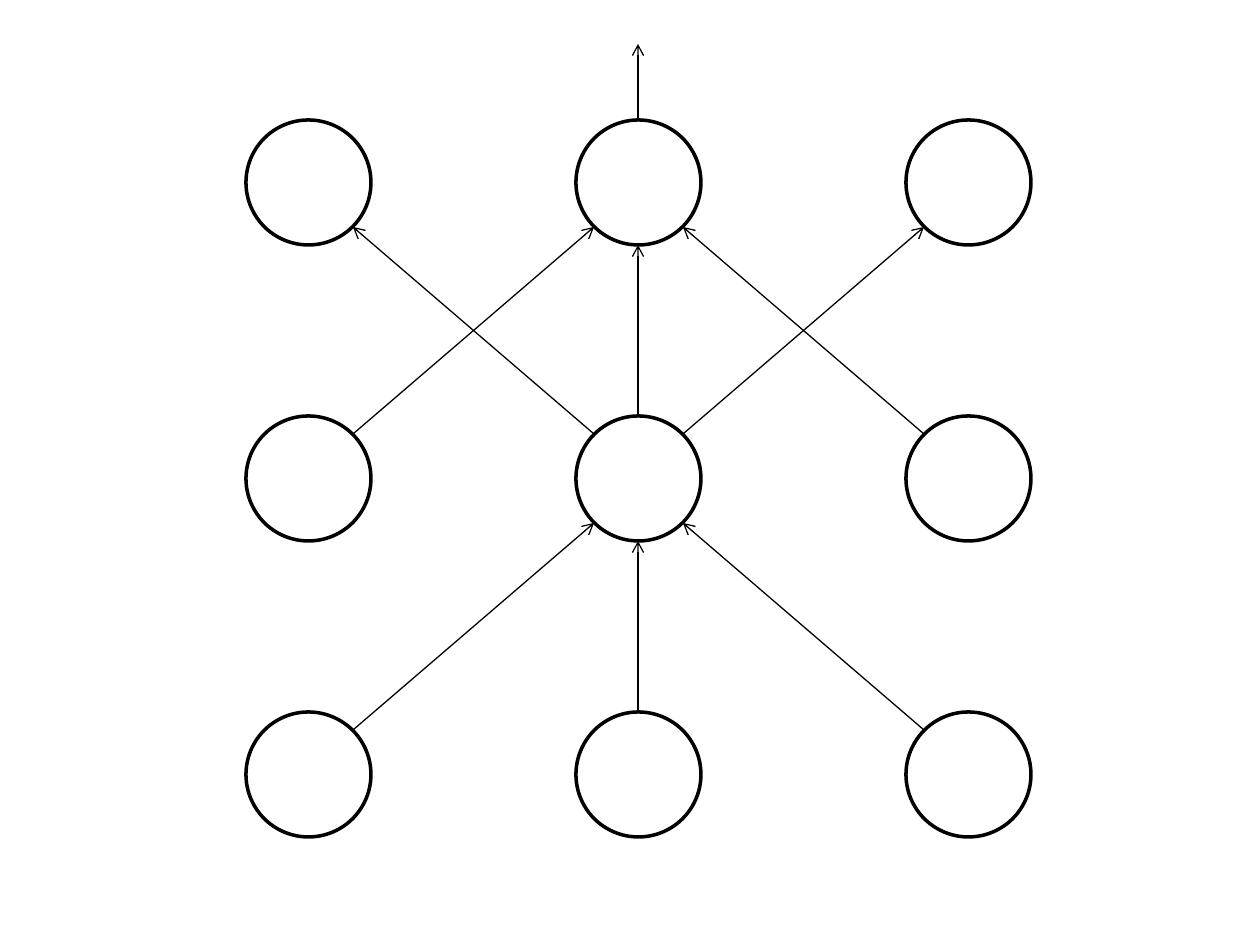
import math
from lxml import etree
from pptx import Presentation
from pptx import util as u
from pptx.dml.color import RGBColor
from pptx.enum import shapes
from pptx.oxml import ns

BLACK = RGBColor(0, 0, 0)
SCALE = 914400 / 126
LEFT, TOP = 246, 120
STEP_X, STEP_Y = 330, 296
SIZE = 125
RISE = 76
LINKS = [
    ((0, 2), (1, 1)), ((1, 1), (2, 0)), ((1, 1), (1, 0)),
    ((1, 1), (0, 0)), ((2, 2), (1, 1)), ((1, 2), (1, 1)),
    ((0, 1), (1, 0)), ((2, 1), (1, 0)),
]


def px(num):
    return u.Emu(round(num * SCALE))


def style(line, width):
    line.color.rgb = BLACK
    line.width = u.Pt(width)


def add_node(slide, col, row):
    node = slide.shapes.add_shape(
        shapes.MSO_SHAPE.OVAL, px(LEFT + col * STEP_X),
        px(TOP + row * STEP_Y), px(SIZE), px(SIZE))
    node.shadow.inherit = False
    node.fill.background()
    style(node.line, 2)


def rim(cell, side, up):
    col, row = cell
    half = SIZE / 2
    reach = half / math.hypot(side, up)
    return (round(LEFT + col * STEP_X + half + side * reach),
            round(TOP + row * STEP_Y + half - up * reach))


def add_arrow(slide, start, end):
    link = slide.shapes.add_connector(
        shapes.MSO_CONNECTOR.STRAIGHT, *map(px, start + end))
    style(link.line, 0.75)
    props = link._element.spPr
    tail = etree.SubElement(props.find(ns.qn("a:ln")), ns.qn("a:tailEnd"))
    tail.set("type", "arrow")
    etree.SubElement(props, ns.qn("a:effectLst"))


def main():
    deck = Presentation()
    deck.slide_width, deck.slide_height = px(1260), px(945)
    slide = deck.slides.add_slide(deck.slide_layouts[6])
    for row in (2, 1, 0):
        for col in range(3):
            add_node(slide, col, row)
    for start, end in LINKS:
        side = end[0] - start[0]
        add_arrow(slide, rim(start, side, 1), rim(end, -side, -1))
    x, y = rim((1, 0), 0, 1)
    add_arrow(slide, (x, y), (x, y - RISE))
    deck.save("out.pptx")


if __name__ == "__main__":
    main()
